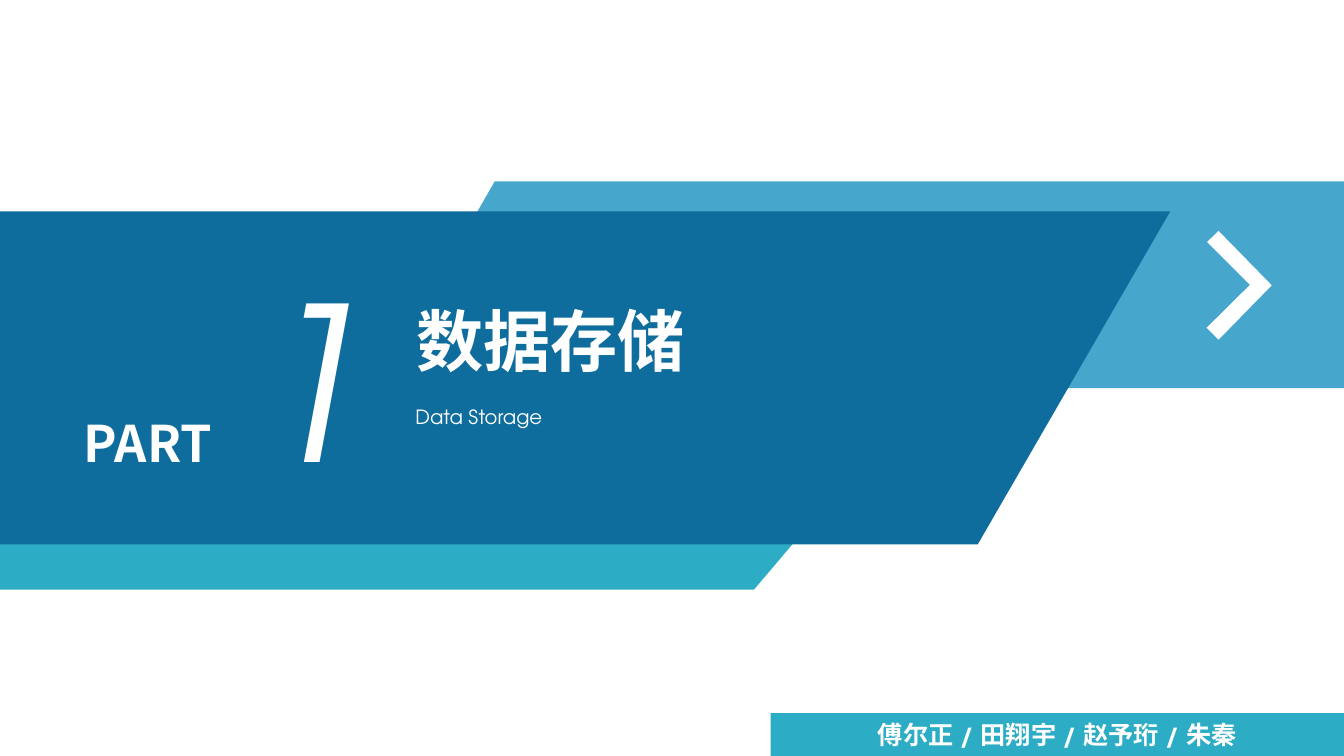
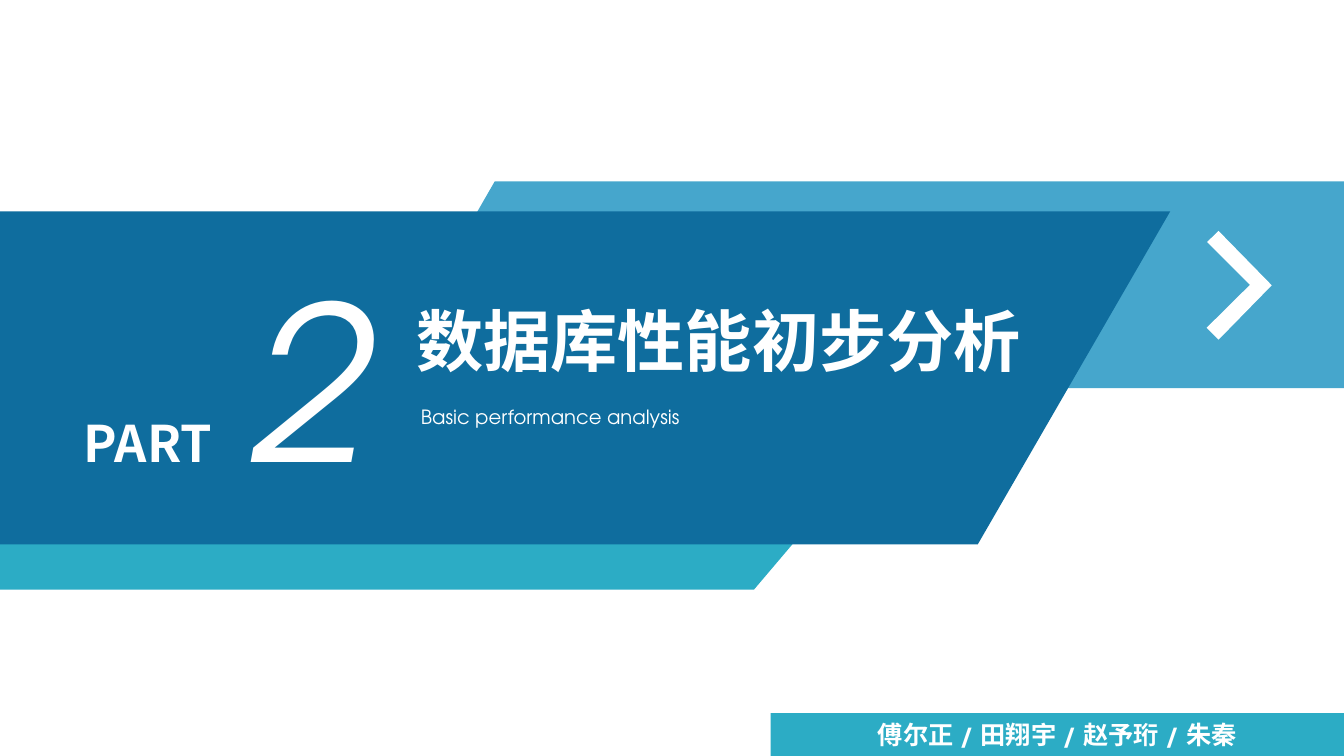
from typing import NamedTuple

from lxml import etree
from pptx import Presentation
from pptx import util as u
from pptx.dml.color import RGBColor
from pptx.enum import shapes, text
from pptx.oxml import ns

COLORS = {"navy": "0F6D9E", "sky": "46A6CC", "teal": "2CACC5", "white": "FFFFFF"}
LATIN = "TeX Gyre Adventor"
HAN = "Noto Sans CJK SC"
WIDTH, HEIGHT = 33.87, 19.05
SECTION_LAYOUT = 2
AUTHORS = ("傅尔正", "田翔宇", "赵予珩", "朱秦")


class Section(NamedTuple):
    number: str
    title: str
    subtitle: str


class Outline(NamedTuple):
    color: str
    points: tuple[tuple[float, float], ...]


class Area(NamedTuple):
    """Position and size in centimetres."""
    left: float
    top: float
    width: float
    height: float


class TextStyle(NamedTuple):
    size: float
    font: str = LATIN
    bold: bool = False
    italic: bool = False
    align: text.PP_ALIGN = text.PP_ALIGN.LEFT
    anchor: text.MSO_ANCHOR = text.MSO_ANCHOR.TOP
    inset: tuple[float, float] = (0.25, 0.13)
    spacing: float = 1.0
    wrap: bool = True


SECTIONS = (
    Section("1", "数据存储", "Data Storage"),
    Section("2", "数据库性能初步分析", " Basic performance analysis"),
)
BANDS = (
    Outline("sky", ((12.47, 4.57), (WIDTH, 4.57), (WIDTH, 9.78), (9.47, 9.78))),
    Outline("teal", ((0, 9.65), (23.42, 9.65), (19, 14.86), (0, 14.86))),
    Outline("navy", ((0, 5.33), (29.49, 5.33), (24.64, 13.72), (0, 13.72))),
)
CHEVRON = Outline("white", ((30.71, 5.82), (32.05, 7.19), (30.71, 8.56),
                            (30.41, 8.26), (31.5, 7.18), (30.42, 6.1)))

PART_AREA = Area(1.8, 10.26, 3.86, 1.8)
NUMBER_AREA = Area(4.7, 6.12, 6.2, 6.81)
SUBTITLE_AREA = Area(10.24, 10.03, 14.76, 0.84)
FOOTER_AREA = Area(19.42, 17.97, 14.45, 1.08)

CENTER = text.PP_ALIGN.CENTER
PART_STYLE = TextStyle(36, HAN, bold=True, align=CENTER)
NUMBER_STYLE = TextStyle(153.3, italic=True, align=CENTER)
TITLE_STYLE = TextStyle(48, bold=True, wrap=False)
SUBTITLE_STYLE = TextStyle(14, inset=(0.23, 0.1), spacing=1.14)
FOOTER_STYLE = TextStyle(18, bold=True, align=CENTER,
                         anchor=text.MSO_ANCHOR.MIDDLE, inset=(0, 0))


def title_area(title: str) -> Area:
    """Widen the title box with its number of characters."""
    return Area(10.24, 7.42, 0.5 + 1.71 * len(title), 2.31)


def lengths(area: Area) -> list[u.Cm]:
    return [u.Cm(value) for value in area]


def paint(shape, color: str) -> None:
    shape.fill.solid()
    shape.fill.fore_color.rgb = RGBColor.from_string(COLORS[color])
    shape.line.fill.background()
    shape.shadow.inherit = False


def draw_outline(slide, outline: Outline) -> None:
    start, *others = [(u.Cm(x), u.Cm(y)) for x, y in outline.points]
    builder = slide.shapes.build_freeform(*start)
    builder.add_line_segments(others, close=True)
    paint(builder.convert_to_shape(), outline.color)


def write(box, words: str, style: TextStyle) -> None:
    frame = box.text_frame
    frame.auto_size = text.MSO_AUTO_SIZE.NONE
    frame.word_wrap = style.wrap
    frame.vertical_anchor = style.anchor
    frame.margin_left = frame.margin_right = u.Cm(style.inset[0])
    frame.margin_top = frame.margin_bottom = u.Cm(style.inset[1])
    para = frame.paragraphs[0]
    para.alignment = style.align
    para.line_spacing = style.spacing
    para.space_before = u.Pt(0)
    span = para.add_run()
    span.text = words
    font = span.font
    font.name = style.font
    font.size = u.Pt(style.size)
    font.bold = style.bold
    font.italic = style.italic
    font.color.rgb = RGBColor.from_string(COLORS["white"])
    east_asian = etree.SubElement(span.font._element, ns.qn("a:ea"))
    east_asian.set("typeface", HAN)


def add_label(slide, area: Area, words: str, style: TextStyle) -> None:
    write(slide.shapes.add_textbox(*lengths(area)), words, style)


def fill_placeholder(holder, area: Area, words: str, style: TextStyle) -> None:
    """Place the text and bring it in front of the bands."""
    holder.left, holder.top, holder.width, holder.height = lengths(area)
    write(holder, words, style)
    holder.element.getparent().append(holder.element)


def add_footer(slide) -> None:
    bar = slide.shapes.add_shape(shapes.MSO_SHAPE.RECTANGLE, *lengths(FOOTER_AREA))
    paint(bar, "teal")
    write(bar, " / ".join(AUTHORS), FOOTER_STYLE)


def add_section(deck, section: Section) -> None:
    slide = deck.slides.add_slide(deck.slide_layouts[SECTION_LAYOUT])
    for band in BANDS:
        draw_outline(slide, band)
    add_label(slide, PART_AREA, "PART", PART_STYLE)
    add_label(slide, NUMBER_AREA, section.number, NUMBER_STYLE)
    fill_placeholder(slide.shapes.title, title_area(section.title),
                     section.title, TITLE_STYLE)
    fill_placeholder(slide.placeholders[1], SUBTITLE_AREA,
                     section.subtitle, SUBTITLE_STYLE)
    draw_outline(slide, CHEVRON)
    add_footer(slide)


def main() -> None:
    deck = Presentation()
    deck.slide_width, deck.slide_height = u.Cm(WIDTH), u.Cm(HEIGHT)
    for section in SECTIONS:
        add_section(deck, section)
    deck.save("out.pptx")


if __name__ == "__main__":
    main()
